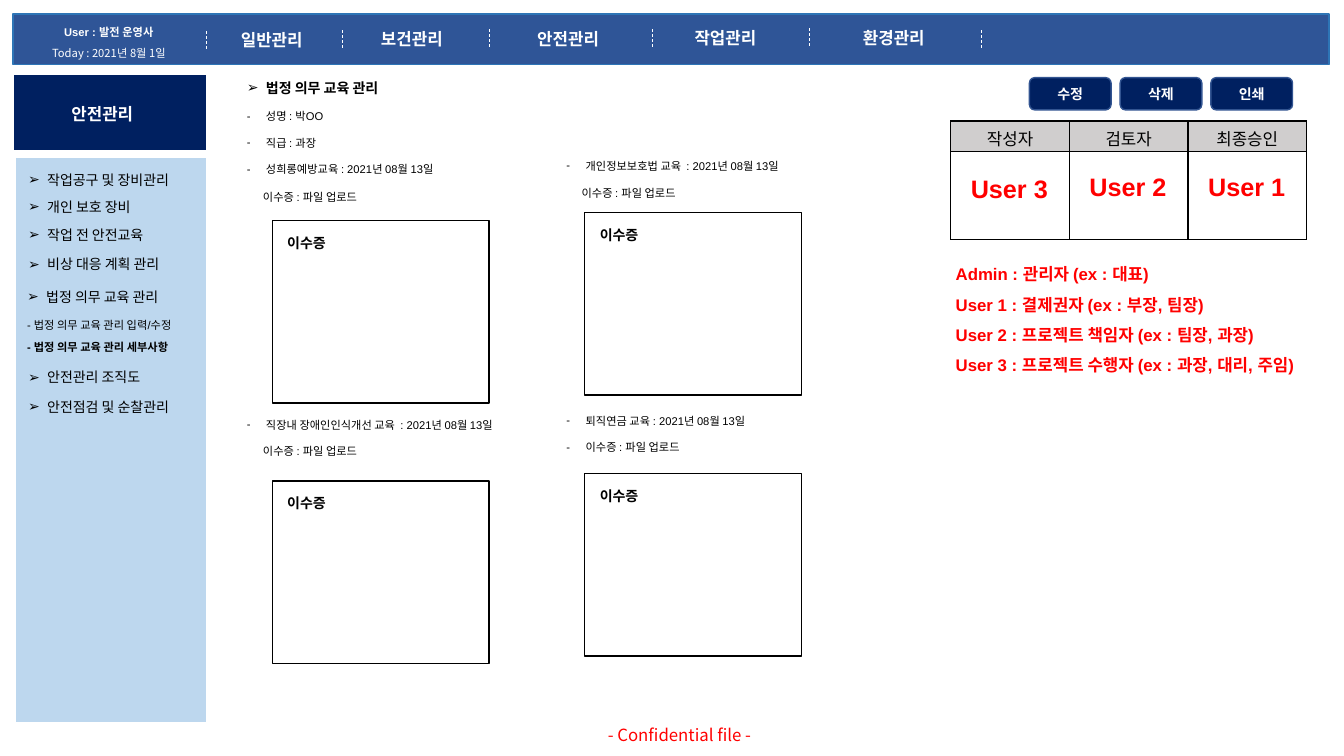
from lxml.etree import SubElement
from pptx import Presentation
from pptx.dml.color import RGBColor
from pptx.enum.dml import MSO_LINE
from pptx.enum.shapes import MSO_CONNECTOR, MSO_SHAPE
from pptx.enum.text import MSO_ANCHOR, PP_ALIGN
from pptx.oxml.ns import qn
from pptx.util import Inches, Pt

# Grid: ten columns and ten rows to the inch
COLS, ROWS = 133.3, 75
SANS, NOTO = "Arial", "Noto Sans CJK KR"
NAVY, BLUE, PALE, RED = "002060", "2F5597", "BDD7EE", "FF0000"
BLACK, WHITE, GRAY = "000000", "FFFFFF", "D0CECE"
ARROW, DASH = "➢", "-"


def grid(*vals):
    return [Inches(v / 10) for v in vals]


def color(hexa):
    return RGBColor.from_string(hexa)


def apply(obj, vals):
    for key, val in vals.items():
        setattr(obj, key, val)


def style(para, size, hue=BLACK, bold=False, face=SANS):
    apply(para.font, {"size": Pt(size), "bold": bold})
    for run in para.runs:
        apply(run.font, {"size": Pt(size), "bold": bold, "name": face})
        run.font.color.rgb = color(hue)
        SubElement(run.font._element, qn("a:ea"), typeface=NOTO)


def bullet(para, mark):
    prop = para._p.get_or_add_pPr()
    prop.set("marL", str(Inches(0.19)))
    prop.set("indent", str(Inches(-0.19)))
    SubElement(prop, qn("a:buFont"), typeface=SANS)
    SubElement(prop, qn("a:buChar"), char=mark)


def write(para, text, mark=None, size=12, hue=BLACK, bold=False,
          face=SANS, **form):
    para.add_run().text = text
    if mark:
        bullet(para, mark)
    apply(para, form)
    style(para, size, hue, bold, face)


def label(slide, box, *lines, **form):
    """Each line is a text, or a (text, own format) pair."""
    frame = slide.shapes.add_textbox(*grid(*box)).text_frame
    frame.word_wrap = True
    for i, line in enumerate(lines):
        text, own = (line, {}) if isinstance(line, str) else line
        para = frame.add_paragraph() if i else frame.paragraphs[0]
        write(para, text, **{**form, **own})


def block(slide, box, fill, line, width, kind=MSO_SHAPE.RECTANGLE):
    shape = slide.shapes.add_shape(kind, *grid(*box))
    shape.shadow.inherit = False
    if fill:
        shape.fill.solid()
        shape.fill.fore_color.rgb = color(fill)
    else:
        shape.fill.background()
    shape.line.color.rgb = color(line)
    shape.line.width = Pt(width)
    return shape


def rule(slide, x, y, high):
    line = slide.shapes.add_connector(
        MSO_CONNECTOR.STRAIGHT, *grid(x, y, x, y + high))
    line.line.color.rgb = color(WHITE)
    apply(line.line, {"width": Pt(0.5), "dash_style": MSO_LINE.DASH})
    SubElement(line._element.spPr, qn("a:effectLst"))


# Top bar with user, date and menu
def header(slide, x, y, w, h):
    block(slide, (x, y, w, h), BLUE, "2E75B6", 1)
    for dx, dy in ((19.2, 1.7), (32.7, 1.6), (47.2, 1.5),
                   (63.4, 1.5), (79, 1.4), (96, 1.6)):
        rule(slide, x + dx, y + dy, 1.9)
    menu = (("일반관리", 21.6, 1.1), ("보건관리", 35.5, 1), ("안전관리", 51, 1),
            ("작업관리", 66.6, 0.9), ("환경관리", 83.3, 0.9))
    for text, dx, dy in menu:
        label(slide, (x + dx, y + dy, 9.8, 3), text, hue=WHITE, bold=True)
    label(slide, (x + 1.8, y, 15.4, 4.8),
          ("User : 발전 운영사", {"bold": True}),
          ("Today : 2021년 8월 1일", {"face": NOTO}),
          size=8, hue=WHITE, alignment=PP_ALIGN.CENTER, line_spacing=1.5)


# Left menu
def sidebar(slide, x, y, w, h):
    block(slide, (x, y, w, 7.7), NAVY, WHITE, 1.5)
    block(slide, (x + 0.2, y + 8.3, w - 0.2, h - 8.3), PALE, WHITE, 1.5)
    label(slide, (x + 4.8, y + 2.5, 9.8, 3), "안전관리", hue=WHITE, bold=True)
    items = (("작업공구 및 장비관리", 9.2), ("개인 보호 장비", 11.9),
             ("작업 전 안전교육", 14.7), ("비상 대응 계획 관리", 17.6),
             ("법정 의무 교육 관리", 20.8), ("안전관리 조직도", 28.8),
             ("안전점검 및 순찰관리", 31.7))
    for text, dy in items:
        dx = 0.4 if dy == 20.8 else 0.5
        label(slide, (x + dx, y + dy, w - 0.2, 2.7), text, mark=ARROW, size=10)
    for text, dy, bold in (("입력/수정", 23.8, False), ("세부사항", 26, True)):
        label(slide, (x + 0.4, y + dy, 20.7, 2.4),
              f"- 법정 의무 교육 관리 {text}", size=8, bold=bold)


# Course lines; each gap stands for one open line
def course(slide, box, *lines):
    rows = [(text, {**own, "space_before": Pt(9.4 if i else 0)})
            for i, (text, own) in enumerate(lines)]
    label(slide, box, *rows, size=8)


# Frame for a certificate
def proof(slide, x, y, w, h):
    block(slide, (x, y, w, h), None, BLACK, 1)
    label(slide, (x + 0.5, y + 0.9, 7.9, 2.7), "이수증", size=10, bold=True)


def courses(slide, x, y, w):
    item = {"mark": DASH}
    upload = "이수증 : 파일 업로드"
    plain = (upload, {})
    right = x + 31.7
    course(slide, (x, y, w, 13.5),
           ("법정 의무 교육 관리", {"mark": ARROW, "size": 10, "bold": True}),
           ("성명 : 박OO", item), ("직급 : 과장", item),
           ("성희롱예방교육 : 2021년 08월 13일", item))
    course(slide, (x, y + 33.6, w, 2.4),
           ("직장내 장애인인식개선 교육  : 2021년 08월 13일", item))
    course(slide, (right, y + 7.9, w, 2.4),
           ("개인정보보호법 교육  : 2021년 08월 13일", item))
    course(slide, (right, y + 33.2, w, 5),
           ("퇴직연금 교육 : 2021년 08월 13일", item), (upload, item))
    for dx, dy in ((1.6, 11), (1.6, 36.2), (33.2, 10.6)):
        course(slide, (x + dx, y + dy, w - 1.6, 2.4), plain)
    for dx, dy in ((3.5, 14.5), (3.5, 40.3), (34.5, 13.7), (34.5, 39.6)):
        proof(slide, x + dx, y + dy, 21.5, 18.1)


def border(cell):
    prop = cell._tc.get_or_add_tcPr()
    for side in ("lnL", "lnR", "lnT", "lnB"):
        line = SubElement(prop, qn(f"a:{side}"), w=str(Pt(1)))
        fill = SubElement(line, qn("a:solidFill"))
        SubElement(fill, qn("a:srgbClr"), val=BLACK)


# Buttons, sign-off table and roles
def signoff(slide, x, y, w):
    for i, text in enumerate(("수정", "삭제", "인쇄")):
        shape = block(slide, (x + 7.8 + 9 * i, y, 8.1, 3.2), NAVY, "325491", 1,
                      MSO_SHAPE.ROUNDED_RECTANGLE)
        shape.text_frame.vertical_anchor = MSO_ANCHOR.MIDDLE
        write(shape.text_frame.paragraphs[0], text, size=10, hue=WHITE,
              bold=True, face=NOTO, alignment=PP_ALIGN.CENTER)
    table = slide.shapes.add_table(2, 3, *grid(x, y + 4.3, w, 11.8)).table
    apply(table, {"first_row": False, "horz_banding": False})
    for row, high in zip(table.rows, grid(3, 8.8)):
        row.height = high
    for i, text in enumerate(("작성자", "검토자", "최종승인")):
        table.columns[i].width = grid(w / 3)[0]
        head, body = table.cell(0, i), table.cell(1, i)
        for cell in (head, body):
            border(cell)
        head.fill.solid()
        head.fill.fore_color.rgb = color(GRAY)
        body.fill.background()
        apply(head, {"vertical_anchor": MSO_ANCHOR.MIDDLE,
                     "margin_top": Inches(0.04), "margin_bottom": 0})
        write(head.text_frame.paragraphs[0], text, face=NOTO,
              alignment=PP_ALIGN.CENTER)
        label(slide, (x + 1 + w / 3 * i, y + (8.8 if i else 9), 10.9, 4),
              f"User {3 - i}", size=18, hue=RED, bold=True)
    label(slide, (x - 0.5, y + 17, 39.5, 12.7),
          "Admin : 관리자 (ex : 대표)",
          "User 1 : 결제권자 (ex : 부장, 팀장)",
          "User 2 : 프로젝트 책임자 (ex : 팀장, 과장)",
          "User 3 : 프로젝트 수행자 (ex : 과장, 대리, 주임)",
          hue=RED, bold=True, line_spacing=1.5)


def main():
    deck = Presentation()
    deck.slide_width, deck.slide_height = grid(COLS, ROWS)
    slide = deck.slides.add_slide(deck.slide_layouts[6])
    header(slide, 1.3, 1.4, 130.5, 5)
    sidebar(slide, 1.3, 7.3, 19.2, 64.4)
    courses(slide, 23.5, 7.4, 33.4)
    signoff(slide, 94.3, 7.7, 35.3)
    label(slide, (59.3, 71.4, 31.7, 3), "- Confidential file -",
          hue=RED, face=NOTO)
    deck.save("out.pptx")


if __name__ == "__main__":
    main()
